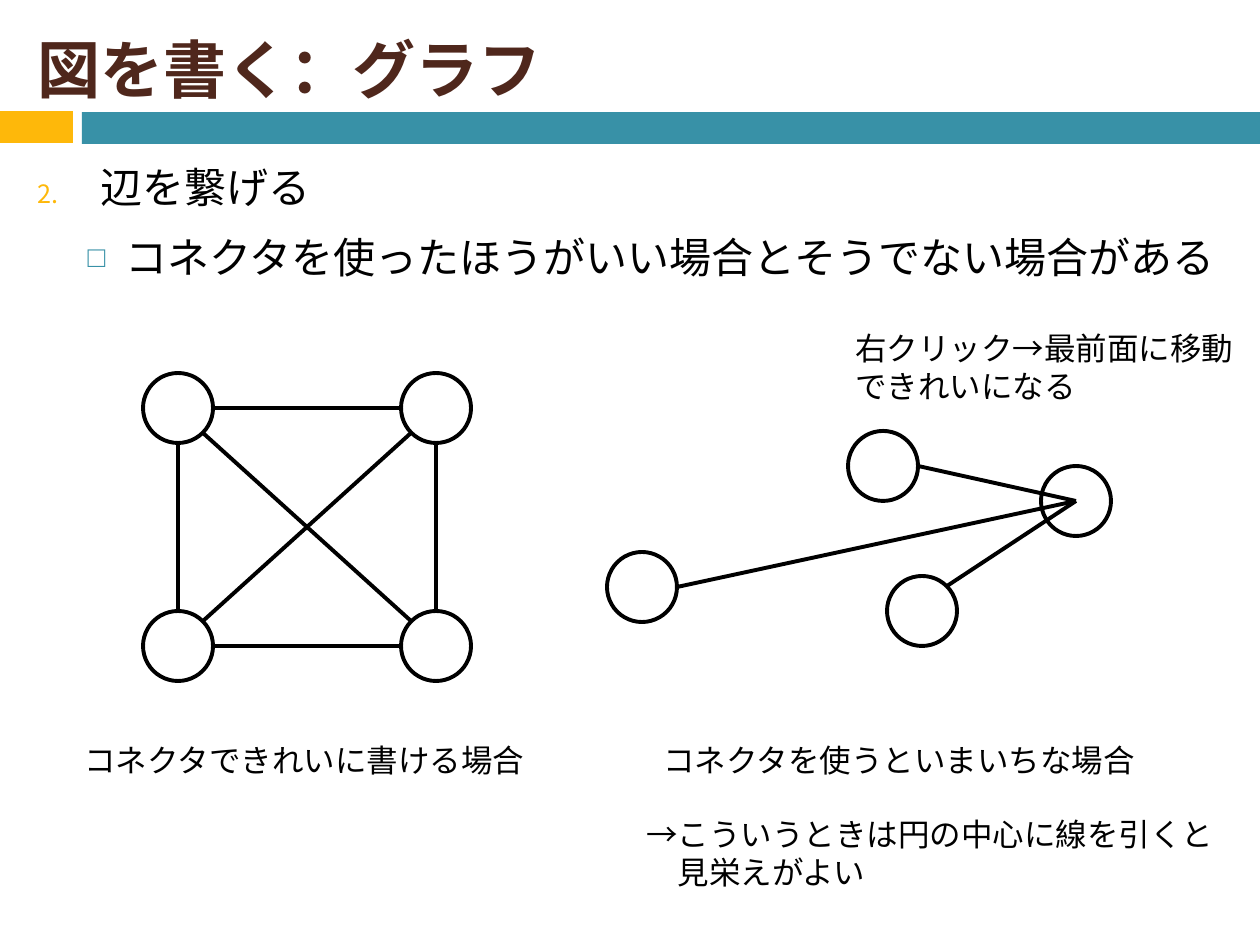
from dataclasses import dataclass
from itertools import combinations
from math import hypot

from lxml.etree import SubElement
from pptx import Presentation
from pptx.dml.color import RGBColor
from pptx.enum.shapes import MSO_CONNECTOR, MSO_SHAPE
from pptx.enum.text import MSO_ANCHOR, MSO_AUTO_SIZE, PP_ALIGN
from pptx.oxml.ns import qn
from pptx.util import Pt

SCALE = 914400 / 126  # EMU in one px


def px(n):
    return round(n * SCALE)


@dataclass(frozen=True)
class Theme:
    face: str = "Noto Sans CJK JP"
    ink: str = "000000"
    paper: str = "FFFFFF"
    brown: str = "4F271C"
    gold: str = "FEB80A"
    teal: str = "3891A7"
    head: int = 36
    body: int = 24
    note: int = 18
    line: float = 2.25


class Deck:
    def __init__(self, theme, wide, high):
        self.theme = theme
        self.file = Presentation()
        self.file.slide_width, self.file.slide_height = px(wide), px(high)
        self.slide = self.file.slides.add_slide(self.file.slide_layouts[1])

    def place(self, item, left, top, wide, high):
        item.left, item.top = px(left), px(top)
        item.width, item.height = px(wide), px(high)

    def style(self, para, size, color, bold=False):
        font = para.font
        font.name, font.size, font.bold = self.theme.face, Pt(size), bold
        font.color.rgb = RGBColor.from_string(color)
        base = para._p.pPr.find(qn("a:defRPr"))
        SubElement(base, qn("a:ea"), typeface=self.theme.face)
        para.alignment = PP_ALIGN.LEFT

    def title(self, text, *area):
        item = self.slide.shapes.title
        self.place(item, *area)
        frame = item.text_frame
        frame.text = text
        frame.vertical_anchor = MSO_ANCHOR.MIDDLE
        frame.auto_size = MSO_AUTO_SIZE.NONE
        self.style(frame.paragraphs[0], self.theme.head, self.theme.brown, True)

    def body(self, *area):
        item = self.slide.placeholders[1]
        self.place(item, *area)
        frame = item.text_frame
        frame.vertical_anchor = MSO_ANCHOR.TOP
        frame.auto_size = MSO_AUTO_SIZE.NONE
        return frame

    def point(self, para, text, level, left, hang, gaps, color, size, mark, **kind):
        para.text, para.level = text, level
        para.space_before, para.space_after = map(Pt, gaps)
        self.style(para, self.theme.body, self.theme.ink)
        props = para._p.pPr
        props.set("marL", str(px(left)))
        props.set("indent", str(-px(hang)))
        # Bullet parts go before the font defaults
        tint = SubElement(props, qn("a:buClr"))
        SubElement(tint, qn("a:srgbClr"), val=color)
        parts = [tint,
                 SubElement(props, qn("a:buSzPct"), val=str(size * 1000)),
                 SubElement(props, qn(mark), **kind)]
        base = props.find(qn("a:defRPr"))
        for part in parts:
            base.addprevious(part)

    def shape(self, kind, fill, *area):
        item = self.slide.shapes.add_shape(kind, *map(px, area))
        item.shadow.inherit = False
        item.fill.solid()
        item.fill.fore_color.rgb = RGBColor.from_string(fill)
        return item

    def bar(self, fill, *area):
        self.shape(MSO_SHAPE.RECTANGLE, fill, *area).line.fill.background()

    def pen(self, line):
        line.color.rgb = RGBColor.from_string(self.theme.ink)
        line.width = Pt(self.theme.line)

    def node(self, spot):
        x, y = spot
        item = self.shape(MSO_SHAPE.OVAL, self.theme.paper,
                          x - RADIUS, y - RADIUS, 2 * RADIUS, 2 * RADIUS)
        self.pen(item.line)

    def edge(self, start, end):
        item = self.slide.shapes.add_connector(
            MSO_CONNECTOR.STRAIGHT, *map(px, (*start, *end)))
        self.pen(item.line)
        SubElement(item._element.spPr, qn("a:effectLst"))

    def note(self, lines, *area):
        frame = self.slide.shapes.add_textbox(*map(px, area)).text_frame
        frame.word_wrap = False
        frame.auto_size = MSO_AUTO_SIZE.SHAPE_TO_FIT_TEXT
        frame.text = lines
        for para in frame.paragraphs:
            self.style(para, self.theme.note, self.theme.ink)


RADIUS = 35


def sign(n):
    return (n > 0) - (n < 0)


def rim(spot, dx, dy):
    """Point on a node's outline in one of eight directions."""
    reach = RADIUS / hypot(dx, dy)
    return round(spot[0] + dx * reach), round(spot[1] + dy * reach)


def main():
    theme = Theme()
    deck = Deck(theme, 1260, 945)

    # Heading and its two bars
    deck.bar(theme.gold, 0, 111, 73, 32)
    deck.bar(theme.teal, 82, 112, 1178, 32)
    deck.title("図を書く：グラフ", 25, 26, 1211, 85)

    # List
    frame = deck.body(25, 155, 1211, 725)
    deck.point(frame.paragraphs[0], "辺を繋げる", 0, 63, 63, (18, 6),
               theme.gold, 60, "a:buAutoNum", type="arabicPeriod", startAt="2")
    deck.point(frame.add_paragraph(),
               "コネクタを使ったほうがいい場合とそうでない場合がある", 1, 88, 38,
               (5.5, 8), theme.teal, 70, "a:buChar", char="□")

    # Complete graph: every pair of corners is joined rim to rim
    spots = [(x, y) for y in (408, 646) for x in (178, 436)]
    for spot in spots:
        deck.node(spot)
    for one, two in combinations(spots, 2):
        dx, dy = sign(two[0] - one[0]), sign(two[1] - one[1])
        deck.edge(rim(one, dx, dy), rim(two, -dx, -dy))

    # Star graph: edges run from a rim to the centre of the hub
    hub = (1076, 501)
    leaves = [((883, 466), (1, 0)), ((642, 587), (1, 0)), ((922, 611), (1, -1))]
    for spot in [leaf for leaf, _ in leaves] + [hub]:
        deck.node(spot)
    for spot, way in leaves:
        deck.edge(rim(spot, *way), hub)

    # Notes
    deck.note("コネクタできれいに書ける場合", 72, 735, 471, 50)
    deck.note("コネクタを使うといまいちな場合", 651, 735, 503, 50)
    deck.note("→こういうときは円の中心に線を引くと\v　見栄えがよい", 634, 809, 598, 89)
    deck.note("右クリック→最前面に移動\nできれいになる", 843, 323, 407, 89)

    deck.file.save("out.pptx")


if __name__ == "__main__":
    main()
